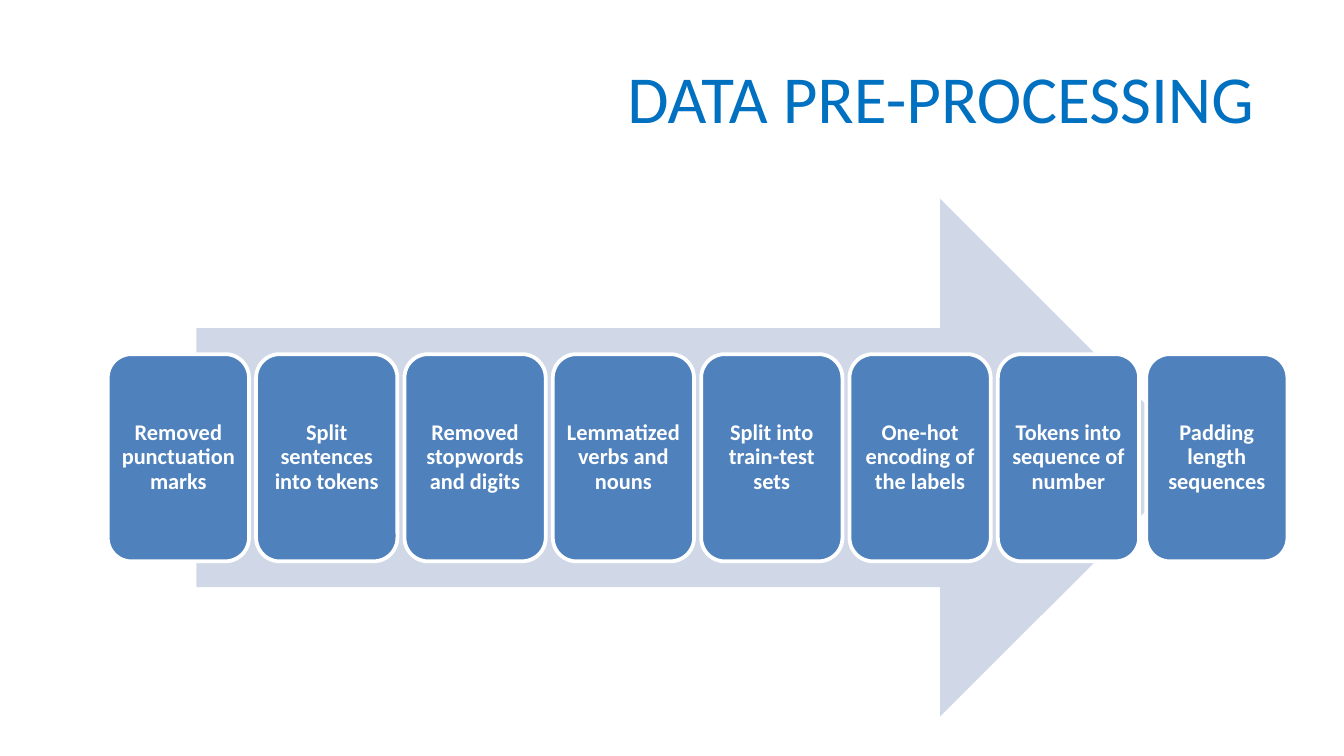
"""Build the data pre-processing slide."""
import pptx
import pptx.dml.color
import pptx.enum.shapes
import pptx.enum.text
import pptx.util

Pt = pptx.util.Pt
RGBColor = pptx.dml.color.RGBColor
MSO_SHAPE = pptx.enum.shapes.MSO_SHAPE
PP_ALIGN = pptx.enum.text.PP_ALIGN
MSO_ANCHOR = pptx.enum.text.MSO_ANCHOR

TITLE_BLUE = RGBColor(0x00, 0x70, 0xC0)
ARROW_GREY = RGBColor(0xD0, 0xD8, 0xE8)
STEP_BLUE = RGBColor(0x4F, 0x81, 0xBD)
WHITE = RGBColor(0xFF, 0xFF, 0xFF)

FONT = "Calibri"
STEPS = [
    "Removed punctuation marks",
    "Split sentences into tokens",
    "Removed stopwords and digits",
    "Lemmatized verbs and nouns",
    "Split into train-test sets",
    "One-hot encoding of the labels",
    "Tokens into sequence of number",
    "Padding length sequences",
]


def add_text(frame, text, size, color, align, bold=False):
    """Write one formatted run into a vertically centred frame."""
    frame.word_wrap = True
    frame.vertical_anchor = MSO_ANCHOR.MIDDLE
    paragraph = frame.paragraphs[0]
    paragraph.alignment = align
    run = paragraph.add_run()
    run.text = text
    run.font.name = FONT
    run.font.size = Pt(size)
    run.font.bold = bold
    run.font.color.rgb = color
    return paragraph


def add_heading(slide, left, top, width, height):
    """Place the right-aligned slide title in the given box."""
    heading = slide.shapes.title
    heading.left, heading.top = Pt(left), Pt(top)
    heading.width, heading.height = Pt(width), Pt(height)
    add_text(heading.text_frame, "DATA PRE-PROCESSING", 36, TITLE_BLUE, PP_ALIGN.RIGHT)


def add_step(slide, text, left, top, width, height):
    """Draw one rounded step card with its label."""
    step = slide.shapes.add_shape(
        MSO_SHAPE.ROUNDED_RECTANGLE, Pt(left), Pt(top), Pt(width), Pt(height))
    step.shadow.inherit = False
    step.fill.solid()
    step.fill.fore_color.rgb = STEP_BLUE
    step.line.color.rgb = WHITE
    step.line.width = Pt(2)
    label = step.text_frame
    label.margin_left = label.margin_right = Pt(3.6)
    label.margin_top = label.margin_bottom = Pt(3.6)
    add_text(label, text, 12, WHITE, PP_ALIGN.CENTER, bold=True).line_spacing = 0.9


def add_process(slide, left, top, width, height):
    """Draw the arrow and the row of steps across the given box."""
    arrow_width = width * 0.85
    arrow = slide.shapes.add_shape(
        MSO_SHAPE.RIGHT_ARROW, Pt(left + (width - arrow_width) / 2), Pt(top),
        Pt(arrow_width), Pt(height))
    arrow.shadow.inherit = False
    arrow.fill.solid()
    arrow.fill.fore_color.rgb = ARROW_GREY
    arrow.line.fill.background()

    gap = width / (21 * len(STEPS) - 1)
    step_width = gap * 20
    step_height = height * 0.4
    step_top = top + (height - step_height) / 2
    for index, text in enumerate(STEPS):
        step_left = left + index * (step_width + gap)
        add_step(slide, text, step_left, step_top, step_width, step_height)


def main():
    """Assemble and save the slide."""
    deck = pptx.Presentation()
    deck.slide_width, deck.slide_height = Pt(720), Pt(405)
    slide = deck.slides.add_slide(deck.slide_layouts.get_by_name("Title Only"))
    add_heading(slide, 41.8, 21.6, 637.2, 60.5)
    add_process(slide, 57.75, 106.5, 632, 277.5)
    deck.save("out.pptx")


if __name__ == "__main__":
    main()
